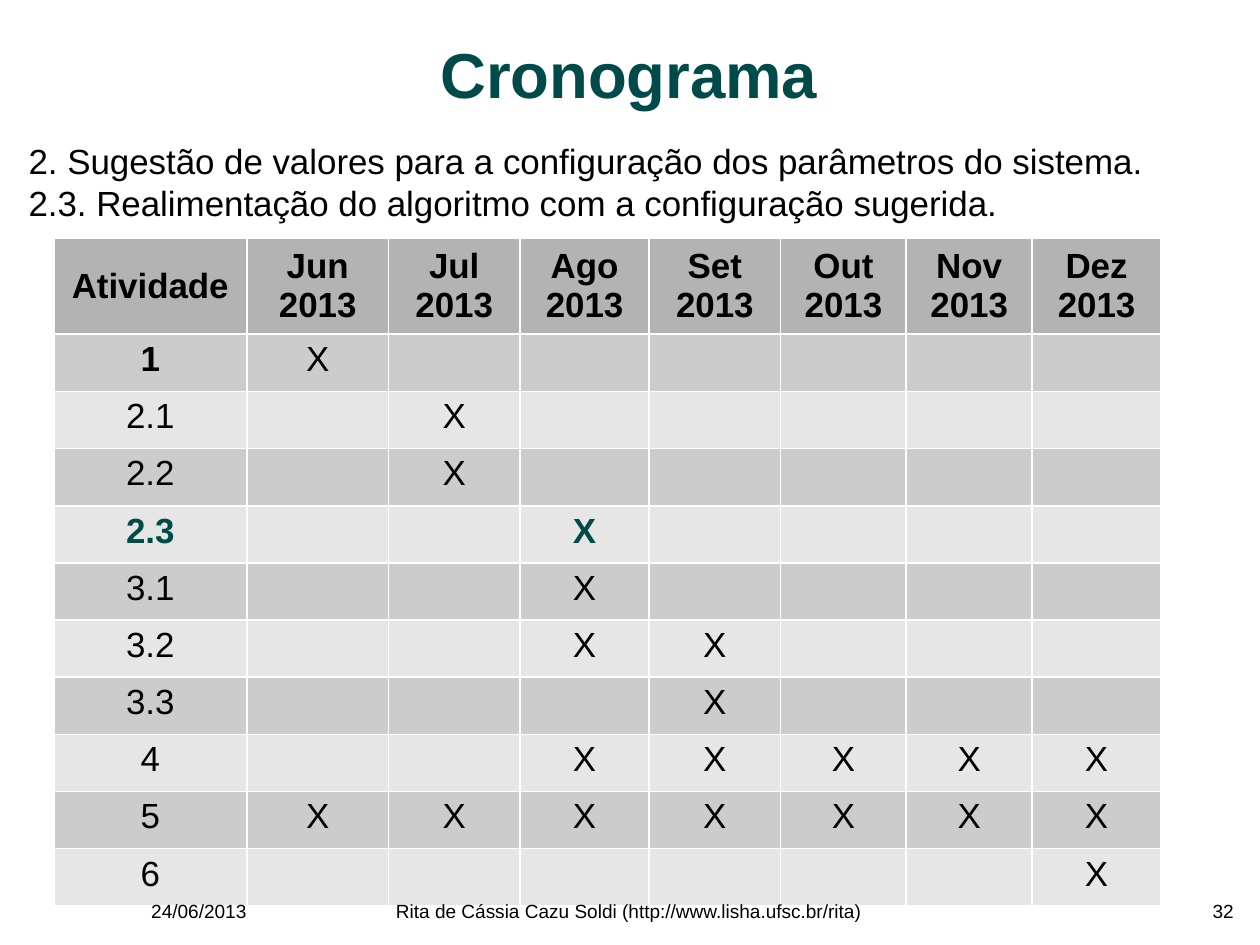
"""Builds the schedule slide of a project presentation."""
from lxml import etree
from pptx import Presentation
from pptx import util as u
from pptx.dml.color import RGBColor
from pptx.enum import text as t
from pptx.oxml import ns

WIDTH, HEIGHT = u.Cm(28), u.Cm(21)
COLORS = {
    "ink": "000000",
    "accent": "004A4A",
    "header": "B3B3B3",
    "dark_band": "CCCCCC",
    "light_band": "E6E6E6",
    "grid": "FFFFFF",
}
CENTER, LEFT, RIGHT = t.PP_ALIGN.CENTER, t.PP_ALIGN.LEFT, t.PP_ALIGN.RIGHT
MONTHS = ["Jun", "Jul", "Ago", "Set", "Out", "Nov", "Dez"]
ACTIVITIES = {
    "1": ["Jun"],
    "2.1": ["Jul"],
    "2.2": ["Jul"],
    "2.3": ["Ago"],
    "3.1": ["Ago"],
    "3.2": ["Ago", "Set"],
    "3.3": ["Set"],
    "4": MONTHS[2:],
    "5": MONTHS,
    "6": ["Dez"],
}
CURRENT_ACTIVITY = "2.3"
COLUMN_WIDTHS = [1.69, 1.24, 1.15, 1.13, 1.15, 1.1, 1.1, 1.13]
HEADER_HEIGHT, ROW_HEIGHT = u.Inches(0.84), u.Inches(0.5)


def area(left, top, width, height):
    """Turn percentages of the slide into lengths."""
    shares = zip((left, top, width, height), (WIDTH, HEIGHT, WIDTH, HEIGHT))
    return [int(share * side / 100) for share, side in shares]


def write(frame, content, size=22, bold=False, color="ink", align=LEFT, spacing=1.0):
    """Write one unbulleted paragraph per line of the content."""
    for index, line in enumerate(content.split("\n")):
        paragraph = frame.add_paragraph() if index else frame.paragraphs[0]
        properties = paragraph._p.get_or_add_pPr()
        properties.set("marL", "0")
        properties.set("indent", "0")
        etree.SubElement(properties, ns.qn("a:buNone"))
        paragraph.alignment = align
        paragraph.line_spacing = spacing
        paragraph.space_before = u.Pt(0)
        run = paragraph.add_run()
        run.text = line
        run.font.name = "Arial"
        run.font.size = u.Pt(size)
        run.font.bold = bold
        run.font.color.rgb = RGBColor.from_string(COLORS[color])


def fill_box(shape, position, content, anchor=t.MSO_ANCHOR.TOP, **style):
    """Place a shape without insets and write its text."""
    shape.left, shape.top, shape.width, shape.height = position
    frame = shape.text_frame
    frame.word_wrap = True
    frame.auto_size = t.MSO_AUTO_SIZE.NONE
    frame.vertical_anchor = anchor
    frame.margin_left = frame.margin_right = 0
    frame.margin_top = frame.margin_bottom = 0
    write(frame, content, **style)


def add_footer(slide, left, width, content, align):
    """Add one text of the footer line."""
    position = area(left, 95.16, width, 2.54)
    fill_box(slide.shapes.add_textbox(*position), position, content, size=12, align=align)


def fill_cell(cell, content, fill, anchor=t.MSO_ANCHOR.TOP, **style):
    """Format a table cell with its borders, fill and text."""
    properties = cell._tc.get_or_add_tcPr()
    for side in "LRTB":
        border = etree.SubElement(properties, ns.qn(f"a:ln{side}"), w=str(u.Pt(1.19)))
        solid = etree.SubElement(border, ns.qn("a:solidFill"))
        etree.SubElement(solid, ns.qn("a:srgbClr"), val=COLORS["grid"])
    cell.fill.solid()
    cell.fill.fore_color.rgb = RGBColor.from_string(COLORS[fill])
    cell.margin_left = cell.margin_right = u.Inches(0.04)
    cell.margin_top = cell.margin_bottom = u.Inches(0.05)
    cell.vertical_anchor = anchor
    if content:
        write(cell.text_frame, content, align=CENTER, **style)


def add_schedule(slide):
    """Add the table of activities and months."""
    position = area(4.26, 25.22, 87.93, 70.6)
    table = slide.shapes.add_table(len(ACTIVITIES) + 1, len(MONTHS) + 1, *position).table
    for column, width in zip(table.columns, COLUMN_WIDTHS):
        column.width = u.Inches(width)
    for row in table.rows:
        row.height = ROW_HEIGHT
    table.rows[0].height = HEADER_HEIGHT

    headings = ["Atividade"] + [f"{month}\n2013" for month in MONTHS]
    for cell, heading in zip(table.rows[0].cells, headings):
        fill_cell(cell, heading, "header", anchor=t.MSO_ANCHOR.MIDDLE, bold=True)

    for number, (activity, active) in enumerate(ACTIVITIES.items(), start=1):
        current = activity == CURRENT_ACTIVITY
        band = "dark_band" if number % 2 else "light_band"
        marks = ["X" if month in active else "" for month in MONTHS]
        for column, content in enumerate([activity] + marks):
            fill_cell(
                table.cell(number, column), content, band,
                bold=current or content == "1",
                color="accent" if current else "ink",
            )


def main():
    """Build and save the presentation."""
    presentation = Presentation()
    presentation.slide_width, presentation.slide_height = WIDTH, HEIGHT
    slide = presentation.slides.add_slide(presentation.slide_layouts[1])
    title, body = slide.placeholders
    fill_box(title, area(11.52, 2.18, 76.77, 12.58), "Cronograma",
             anchor=t.MSO_ANCHOR.MIDDLE, size=40, bold=True, color="accent",
             align=CENTER, spacing=0.8)
    fill_box(body, area(2.27, 14.75, 95.28, 9.19),
             "2. Sugestão de valores para a configuração dos parâmetros do sistema.\n"
             "2.3. Realimentação do algoritmo com a configuração sugerida.")
    add_schedule(slide)
    add_footer(slide, 2.54, 26.5, "24/06/2013", CENTER)
    add_footer(slide, 71.42, 26.5, "32", RIGHT)
    add_footer(slide, 22.69, 54.45,
               "Rita de Cássia Cazu Soldi (http://www.lisha.ufsc.br/rita)", CENTER)
    presentation.save("out.pptx")


if __name__ == "__main__":
    main()
